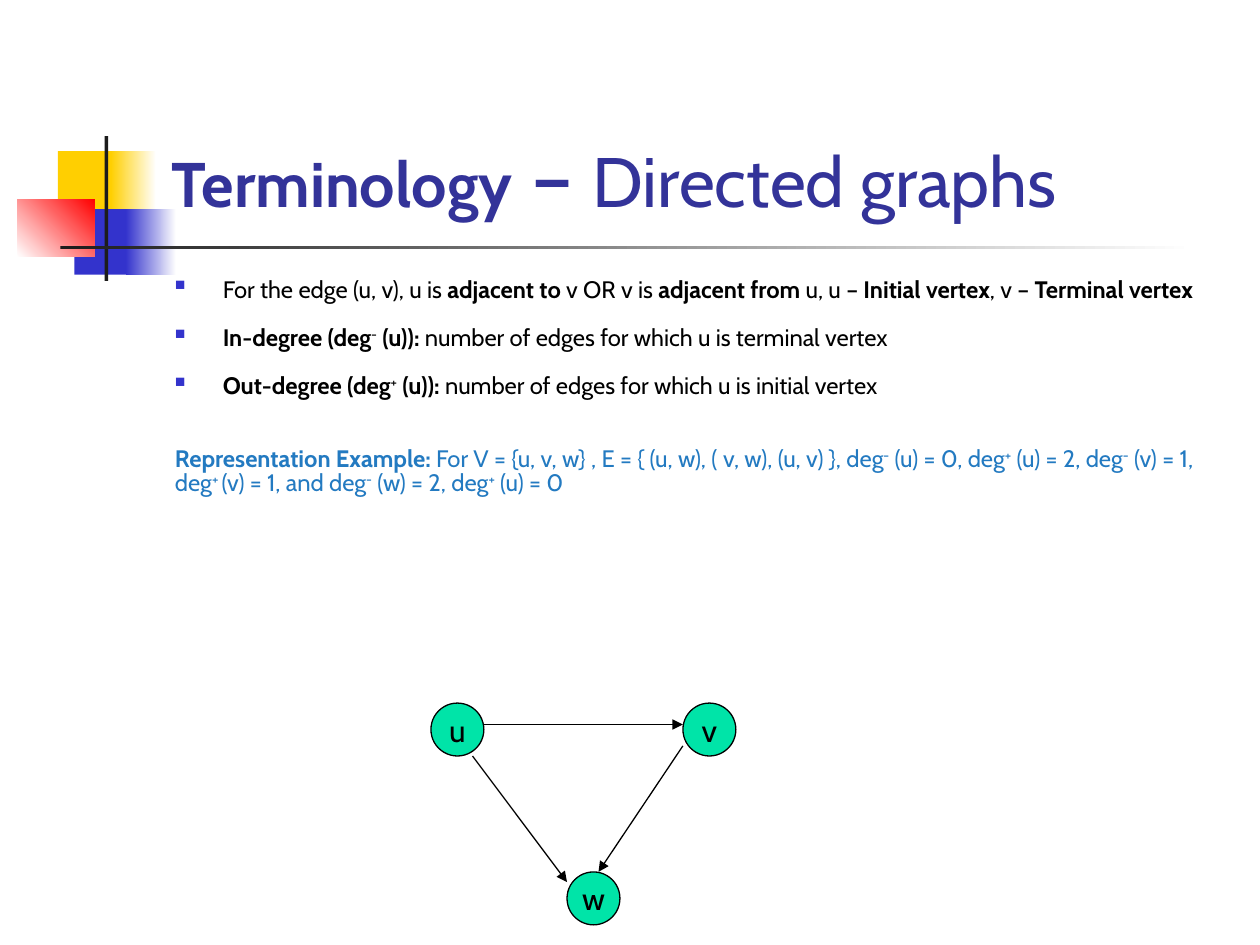
from dataclasses import dataclass

from lxml import etree
from pptx import Presentation
from pptx.dml.color import RGBColor
from pptx.enum.shapes import MSO_CONNECTOR, MSO_SHAPE
from pptx.enum.text import MSO_ANCHOR, MSO_AUTO_SIZE, PP_ALIGN
from pptx.oxml.ns import qn
from pptx.util import Inches, Pt


@dataclass(frozen=True)
class Theme:
    font: str = "Cabin"
    title: str = "333399"
    text: str = "000000"
    example: str = "237AC1"
    node: str = "00E4A8"
    yellow: str = "FFCF01"
    blue: str = "3333CC"
    red: str = "FF0000"
    bar: str = "1C1C1C"
    white: str = "FFFFFF"
    title_size: float = 36
    dash_size: float = 48
    topic_size: float = 40
    body_size: float = 13.6
    node_size: float = 18
    line_width: float = 0.75


BOLD, RAISED = "bold", "raised"
HANGING = 0.38
NODE_SIZE = 0.42

# Each entry: space before in points, bulleted, runs of (text, style)
STATEMENTS = [
    (0, True, [("For the edge (u, v), u is ", None), ("adjacent to", BOLD),
               (" v OR v is ", None), ("adjacent from", BOLD), (" u, u – ", None),
               ("Initial vertex", BOLD), (", v – ", None), ("Terminal vertex", BOLD)]),
    (17.8, True, [("In-degree (deg", BOLD), ("-", RAISED), (" (u)): ", BOLD),
                  ("number of edges for which u is terminal vertex", None)]),
    (17.8, True, [("Out-degree (deg", BOLD), ("+", RAISED), (" (u)): ", BOLD),
                  ("number of edges for which u is initial vertex", None)]),
    (31.6, False, [("Representation Example: ", BOLD),
                   ("For V = {u, v, w} , E = { (u, w), ( v, w), (u, v) }, deg", None),
                   ("-", RAISED), (" (u) = 0, deg", None), ("+", RAISED),
                   (" (u) = 2, deg", None), ("-", RAISED), (" (v) = 1,", None)]),
    (4, False, [("deg", None), ("+ ", RAISED), ("(v) = 1, and deg", None), ("-", RAISED),
                (" (w) = 2, deg", None), ("+", RAISED), (" (u) = 0", None)]),
]

NODES = {"u": (3.42, 5.58), "w": (4.5, 6.92), "v": (5.42, 5.58)}
EDGES = [((3.83, 5.75), (5.42, 5.75)), ((3.75, 6), (4.5, 7)), ((5.42, 5.92), (4.75, 6.92))]


class SlideBuilder:
    def __init__(self, slide, theme):
        self.slide = slide
        self.theme = theme

    def set_font(self, font, size, color):
        font.name = self.theme.font
        font.size = Pt(size)
        font.color.rgb = RGBColor.from_string(color)

    def title(self, box, parts):
        """Fill the title placeholder with (text, size, bold) parts."""
        heading = self.slide.shapes.title
        heading.left, heading.top, heading.width, heading.height = map(Inches, box)
        frame = heading.text_frame
        frame.auto_size = MSO_AUTO_SIZE.NONE
        frame.vertical_anchor = MSO_ANCHOR.BOTTOM
        paragraph = frame.paragraphs[0]
        paragraph.alignment = PP_ALIGN.LEFT
        self.set_font(paragraph.font, self.theme.title_size, self.theme.title)
        for text, size, bold in parts:
            run = paragraph.add_run()
            run.text = text
            run.font.size = Pt(size)
            run.font.bold = bold

    def shape(self, kind, box, color):
        shape = self.slide.shapes.add_shape(kind, *map(Inches, box))
        shape.shadow.inherit = False
        shape.fill.solid()
        shape.fill.fore_color.rgb = RGBColor.from_string(color)
        shape.line.fill.background()
        return shape

    def block(self, box, color, fade_to=None, angle=0):
        """Add a plain rectangle, or one that fades to a second colour."""
        block = self.shape(MSO_SHAPE.RECTANGLE, box, color)
        if fade_to:
            block.fill.gradient()
            block.fill.gradient_angle = angle
            for stop, position, shade in zip(block.fill.gradient_stops, (0, 1), (color, fade_to)):
                stop.position = position
                stop.color.rgb = RGBColor.from_string(shade)

    def bullet(self, properties):
        color = etree.SubElement(properties, qn("a:buClr"))
        etree.SubElement(color, qn("a:srgbClr"), val=self.theme.blue)
        etree.SubElement(properties, qn("a:buSzPct"), val="60000")
        etree.SubElement(properties, qn("a:buChar"), char="■")

    def statements(self, box, entries):
        frame = self.slide.shapes.add_textbox(*map(Inches, box)).text_frame
        frame.word_wrap = True
        for index, (space, bulleted, parts) in enumerate(entries):
            paragraph = frame.add_paragraph() if index else frame.paragraphs[0]
            properties = paragraph._p.get_or_add_pPr()
            properties.set("marL", str(Inches(HANGING)))
            properties.set("indent", str(-Inches(HANGING)))
            if bulleted:
                self.bullet(properties)
            paragraph.alignment = PP_ALIGN.JUSTIFY if bulleted else PP_ALIGN.LEFT
            paragraph.line_spacing = 0.6
            paragraph.space_before = Pt(space)
            color = self.theme.text if bulleted else self.theme.example
            self.set_font(paragraph.font, self.theme.body_size, color)
            for text, style in parts:
                run = paragraph.add_run()
                run.text = text
                run.font.bold = style == BOLD
                if style == RAISED:
                    run._r.get_or_add_rPr().set("baseline", "30000")

    def node(self, label, left, top):
        node = self.shape(MSO_SHAPE.OVAL, (left, top, NODE_SIZE, NODE_SIZE), self.theme.node)
        node.line.color.rgb = RGBColor.from_string(self.theme.text)
        node.line.width = Pt(self.theme.line_width)
        frame = node.text_frame
        frame.word_wrap = False
        frame.vertical_anchor = MSO_ANCHOR.MIDDLE
        paragraph = frame.paragraphs[0]
        paragraph.text = label
        paragraph.alignment = PP_ALIGN.CENTER
        self.set_font(paragraph.font, self.theme.node_size, self.theme.text)

    def edge(self, start, end):
        edge = self.slide.shapes.add_connector(
            MSO_CONNECTOR.STRAIGHT, *map(Inches, (*start, *end)))
        edge.line.color.rgb = RGBColor.from_string(self.theme.text)
        edge.line.width = Pt(self.theme.line_width)
        etree.SubElement(edge.line._get_or_add_ln(), qn("a:tailEnd"), type="triangle")
        etree.SubElement(edge._element.spPr, qn("a:effectLst"))


def main():
    presentation = Presentation()
    presentation.slide_width, presentation.slide_height = Inches(10), Inches(7.5)
    theme = Theme()
    builder = SlideBuilder(presentation.slides.add_slide(presentation.slide_layouts[5]), theme)

    builder.block((0.46, 1.2, 0.48, 0.52), theme.yellow)
    builder.block((0.88, 1.2, 0.36, 0.52), theme.yellow, theme.white)
    builder.block((0.59, 1.66, 0.46, 0.52), theme.blue)
    builder.block((1, 1.66, 0.4, 0.52), theme.blue, theme.white)
    builder.block((0.14, 1.58, 0.61, 0.46), theme.white, theme.red, angle=45)
    builder.block((0.83, 1.08, 0.03, 1.15), theme.bar)
    builder.block((0.48, 1.95, 9, 0.03), theme.bar, theme.white)

    builder.title((1.26, 0.23, 8.52, 1.6), [
        ("Terminology", theme.title_size, True),
        (" – ", theme.dash_size, False),
        ("Directed graphs", theme.topic_size, False),
    ])
    builder.statements((1.29, 2.21, 8.46, 2.29), STATEMENTS)
    for label, (left, top) in NODES.items():
        builder.node(label, left, top)
    for start, end in EDGES:
        builder.edge(start, end)
    presentation.save("out.pptx")


if __name__ == "__main__":
    main()
